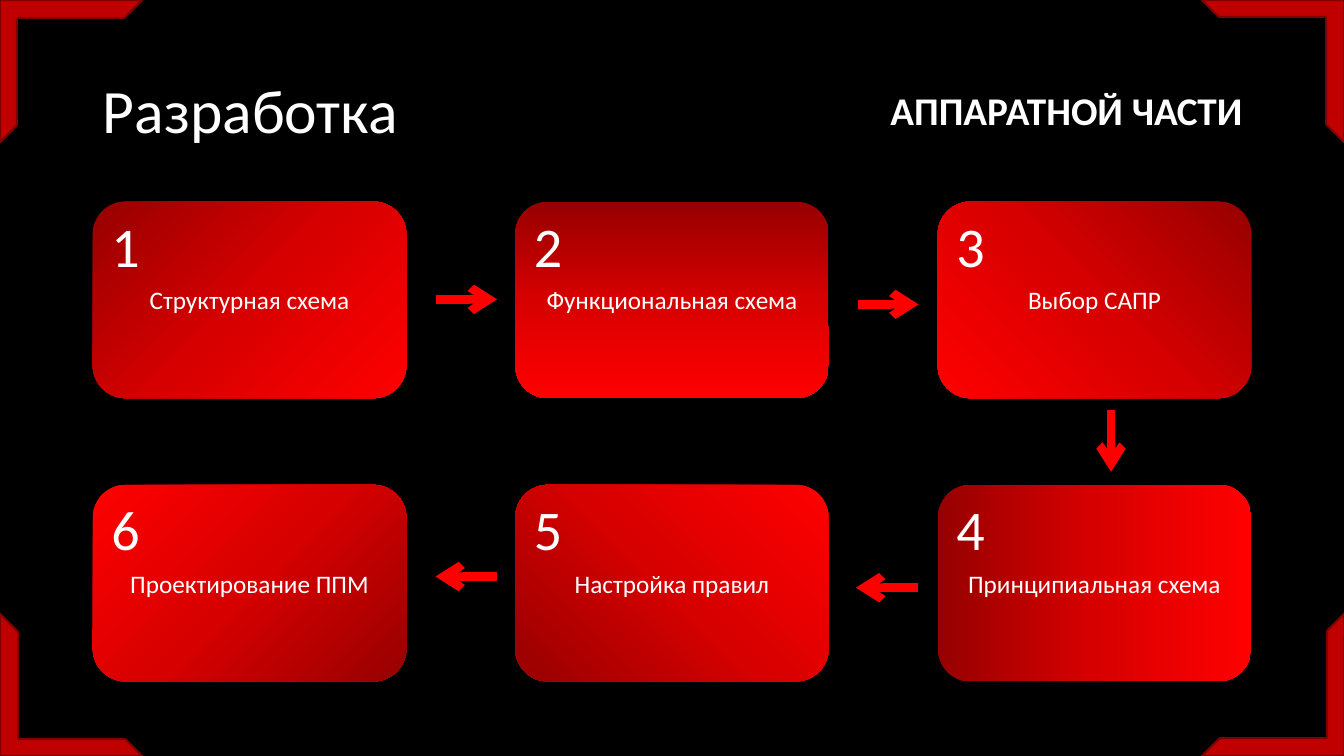
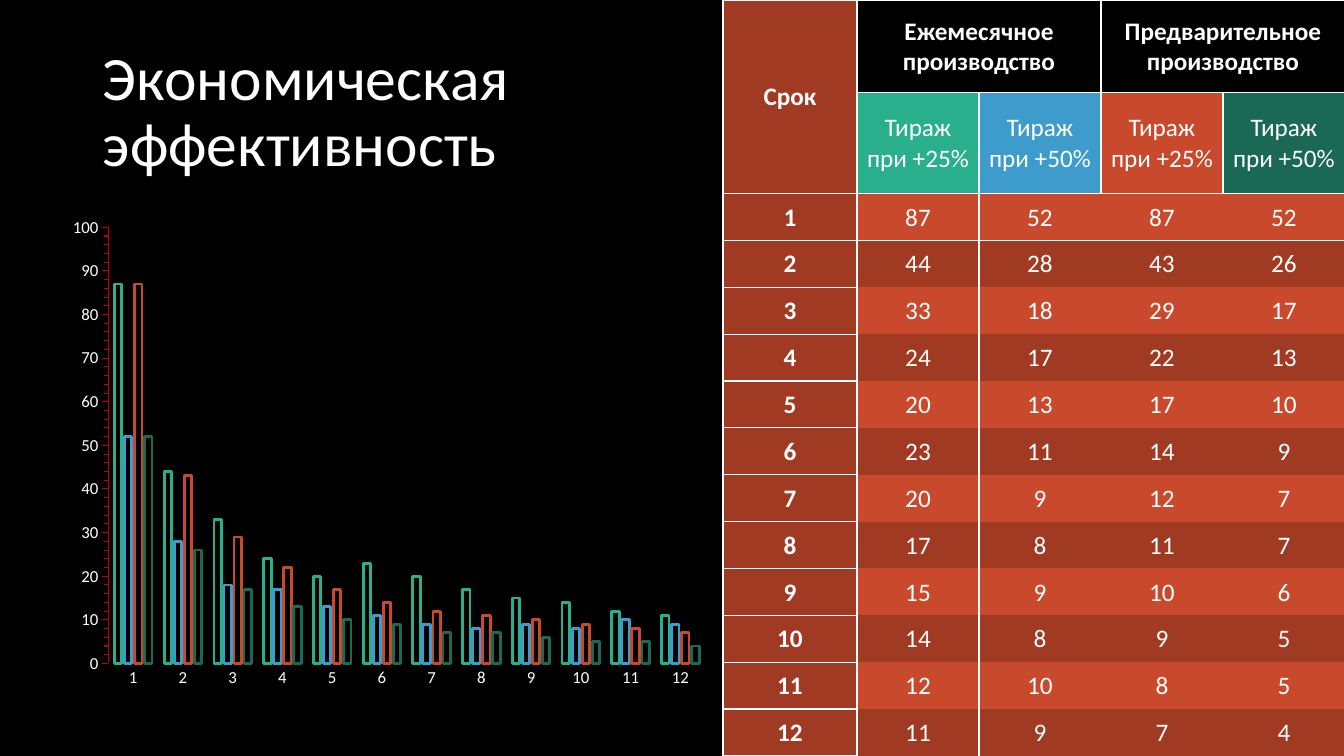
from lxml import etree
from pptx import Presentation
from pptx.chart.data import CategoryChartData
from pptx.dml.color import RGBColor
from pptx.enum.chart import XL_CHART_TYPE, XL_TICK_MARK
from pptx.enum.shapes import MSO_CONNECTOR, MSO_SHAPE
from pptx.enum.text import MSO_ANCHOR, MSO_AUTO_SIZE, PP_ALIGN
from pptx.oxml import parse_xml
from pptx.oxml.ns import nsdecls, qn
from pptx.util import Inches, Pt

LEFT, CENTER, RIGHT = PP_ALIGN.LEFT, PP_ALIGN.CENTER, PP_ALIGN.RIGHT
TOP, MIDDLE = MSO_ANCHOR.TOP, MSO_ANCHOR.MIDDLE
COLUMNS = XL_CHART_TYPE.COLUMN_CLUSTERED
TICK_NONE, TICK_OUT = XL_TICK_MARK.NONE, XL_TICK_MARK.OUTSIDE

# Shared style
FONT = "Calibri"
BLACK = RGBColor(0x00, 0x00, 0x00)
WHITE = RGBColor(0xFF, 0xFF, 0xFF)
RED = RGBColor(0xFF, 0x00, 0x00)
FRAME_RED = RGBColor(0xC0, 0x00, 0x00)
FRAME_EDGE = RGBColor(0x80, 0x00, 0x00)
ROW_LIGHT = RGBColor(0xC9, 0x49, 0x2C)
ROW_DARK = RGBColor(0xA1, 0x3A, 0x23)
SERIES_COLORS = [RGBColor(0x29, 0xAF, 0x8C), RGBColor(0x3D, 0x9C, 0xCC),
                 ROW_LIGHT, RGBColor(0x19, 0x69, 0x54)]
GRADIENT_STOPS = [(0, RGBColor(0x97, 0x00, 0x00)),
                  (50, RGBColor(0xD7, 0x00, 0x00)), (100, RED)]

# Step grid: number, label, column, row, gradient direction
STEP_LEFT, STEP_TOP = 0.92, 2.0
STEP_WIDTH, STEP_HEIGHT = 3.11, 1.95
COLUMN_PITCH, ROW_PITCH = 4.19, 2.81


def linear(degrees):
    return f'<a:lin ang="{degrees * 60000}" scaled="1"/>'


def radial(**edges):
    """Circular gradient that starts at the corner given by full edges."""
    focus = " ".join(f'{edge}="{share * 1000}"' for edge, share in edges.items())
    return f'<a:path path="circle"><a:fillToRect {focus}/></a:path>'


STEPS = [
    ("1", "Структурная схема", 0, 0, linear(45)),
    ("2", "Функциональная схема", 1, 0, linear(90)),
    ("3", "Выбор САПР", 2, 0, linear(135)),
    ("4", "Принципиальная схема", 2, 1, linear(0)),
    ("5", "Настройка правил", 1, 1, radial(t=100, r=100)),
    ("6", "Проектирование ППМ", 0, 1, radial(l=100, t=100)),
]
ARROWS = [
    (4.32, 2.97, 4.93, 2.97),
    (8.51, 3.02, 9.11, 3.02),
    (11.02, 4.07, 11.02, 4.68),
    (9.1, 5.83, 8.49, 5.83),
    (4.93, 5.72, 4.32, 5.72),
]

# Print runs by term, one list per series
PRINT_RUNS = [
    [87, 44, 33, 24, 20, 23, 20, 17, 15, 14, 12, 11],
    [52, 28, 18, 17, 13, 11, 9, 8, 9, 8, 10, 9],
    [87, 43, 29, 22, 17, 14, 12, 11, 10, 9, 8, 7],
    [52, 26, 17, 13, 10, 9, 7, 7, 6, 5, 5, 4],
]
TERMS = [str(term) for term in range(1, 13)]


def inches(*lengths):
    return [Inches(length) for length in lengths]


def write(frame, text, size=18, bold=False, align=CENTER, anchor=MIDDLE, spacing=None):
    """Fill a text frame with one formatted paragraph."""
    frame.word_wrap = True
    frame.vertical_anchor = anchor
    para = frame.paragraphs[0]
    para.text = text
    para.alignment = align
    if spacing:
        para.line_spacing = spacing
    for span in para.runs:
        font = span.font
        font.name, font.size, font.bold = FONT, Pt(size), bold
        font.color.rgb = WHITE


def add_page(deck, title):
    page = deck.slides.add_slide(deck.slide_layouts[5])
    box = page.shapes.title
    box.left, box.top, box.width, box.height = inches(0.92, 0.4, 11.5, 1.45)
    write(box.text_frame, title, size=44, align=LEFT, spacing=0.9)
    box.text_frame.auto_size = MSO_AUTO_SIZE.NONE
    return page


def add_label(page, text, left, top, width, height, grow=False, **style):
    box = page.shapes.add_textbox(*inches(left, top, width, height))
    write(box.text_frame, text, **style)
    if grow:
        box.text_frame.auto_size = MSO_AUTO_SIZE.SHAPE_TO_FIT_TEXT


def add_step(page, number, label, column, row, direction):
    left = STEP_LEFT + column * COLUMN_PITCH
    top = STEP_TOP + row * ROW_PITCH
    card = page.shapes.add_shape(MSO_SHAPE.ROUNDED_RECTANGLE,
                                 *inches(left, top, STEP_WIDTH, STEP_HEIGHT))
    card.shadow.inherit = False
    card.line.fill.background()
    stops = "".join(f'<a:gs pos="{position * 1000}"><a:srgbClr val="{color}"/></a:gs>'
                    for position, color in GRADIENT_STOPS)
    gradient = parse_xml(f'<a:gradFill {nsdecls("a")} rotWithShape="1">'
                         f'<a:gsLst>{stops}</a:gsLst>{direction}</a:gradFill>')
    card._element.spPr.find(qn("a:prstGeom")).addnext(gradient)
    write(card.text_frame, label)
    add_label(page, number, left + 0.04, top + 0.05, 0.57, 0.77,
              size=40, anchor=TOP, grow=True)


def add_arrow(page, *ends):
    arrow = page.shapes.add_connector(MSO_CONNECTOR.STRAIGHT, *inches(*ends))
    arrow.line.color.rgb = RED
    arrow.line.width = Pt(6)
    etree.SubElement(arrow.line._get_or_add_ln(), qn("a:tailEnd"), type="arrow")
    etree.SubElement(arrow._element.spPr, qn("a:effectLst"))


def add_corners(page):
    side = 1.41
    right, bottom = 13.33 - side, 7.5 - side
    for left, top, angle in [(0, 0, 0), (right, 0, 90),
                             (right, bottom, 180), (0, bottom, 270)]:
        corner = page.shapes.add_shape(MSO_SHAPE.HALF_FRAME, *inches(left, top, side, side))
        corner.rotation = angle
        corner.adjustments[0], corner.adjustments[1] = 0.126, 0.119
        corner.shadow.inherit = False
        corner.fill.solid()
        corner.fill.fore_color.rgb = FRAME_RED
        corner.line.color.rgb = FRAME_EDGE
        corner.line.width = Pt(1.5)


def format_cell(cell, text, fill, bold=False, borders="LRTB"):
    write(cell.text_frame, text, bold=bold)
    cell.vertical_anchor = MIDDLE
    cell.margin_left, cell.margin_top, cell.margin_right, cell.margin_bottom = inches(
        0.07, 0.01, 0.07, 0)
    cell.fill.solid()
    cell.fill.fore_color.rgb = fill
    properties = cell._tc.get_or_add_tcPr()
    for index, edge in enumerate(borders):
        properties.insert(index, parse_xml(
            f'<a:ln{edge} {nsdecls("a")} w="{Pt(1)}"><a:solidFill>'
            f'<a:srgbClr val="{WHITE}"/></a:solidFill></a:ln{edge}>'))


def add_run_table(page):
    heights = [0.92, 1.0] + [0.465] * len(TERMS)
    widths = [1.33] + [1.21] * len(PRINT_RUNS)
    table = page.shapes.add_table(len(heights), len(widths),
                                  *inches(7.17, 0, sum(widths), sum(heights))).table
    table.first_row = table.horz_banding = False
    # Plain style without a grid
    table._tbl.tblPr.find(qn("a:tableStyleId")).text = "{2D5ABB26-0587-4C30-8999-92F81FD0307C}"
    for row, height in zip(table.rows, heights):
        row.height = Inches(height)
    for column, width in zip(table.columns, widths):
        column.width = Inches(width)

    # Header rows
    for column, text in [(1, "Ежемесячное производство"), (3, "Предварительное производство")]:
        format_cell(table.cell(0, column), text, BLACK, bold=True)
        format_cell(table.cell(0, column + 1), "", BLACK)
        table.cell(0, column).merge(table.cell(0, column + 1))
    format_cell(table.cell(0, 0), "Срок", ROW_DARK, bold=True)
    format_cell(table.cell(1, 0), "", ROW_DARK)
    table.cell(0, 0).merge(table.cell(1, 0))
    for column, color in enumerate(SERIES_COLORS, 1):
        growth = "+25%" if column % 2 else "+50%"
        format_cell(table.cell(1, column), f"Тираж при {growth}", color)

    # Banded body
    for index, (term, values) in enumerate(zip(TERMS, zip(*PRINT_RUNS))):
        format_cell(table.cell(index + 2, 0), term, ROW_DARK, bold=True)
        band = ROW_DARK if index % 2 else ROW_LIGHT
        for column, value in enumerate(values, 1):
            borders = ("L" if column == 1 else "") + ("T" if index == 0 else "")
            format_cell(table.cell(index + 2, column), str(value), band, borders=borders)


def set_plot_area(chart, **place):
    """Fix the inner plot area as shares of the chart."""
    fields = "".join(f'<c:{name} val="{value}"/>' for name, value in place.items())
    layout = parse_xml(f'<c:layout {nsdecls("c")}><c:manualLayout><c:layoutTarget val="inner"/>'
                       f'<c:xMode val="edge"/><c:yMode val="edge"/>{fields}'
                       '</c:manualLayout></c:layout>')
    area = chart._chartSpace.chart.plotArea
    for old in area.findall(qn("c:layout")):
        area.remove(old)
    area.insert(0, layout)


def add_run_chart(page):
    data = CategoryChartData(number_format="0")
    data.categories = TERMS
    for number, values in enumerate(PRINT_RUNS, 1):
        data.add_series(f"Series {number}", values)
    chart = page.shapes.add_chart(COLUMNS, *inches(0.45, 1.94, 6.72, 5.17), data).chart
    chart.has_legend = chart.has_title = False
    chart.font.name, chart.font.size = FONT, Pt(12)
    chart.font.color.rgb = WHITE
    set_plot_area(chart, x=0.093, y=0.061, w=0.881, h=0.837)

    plot = chart.plots[0]
    plot.vary_by_categories = False
    plot.gap_width, plot.overlap = 164, -35
    for series, color in zip(plot.series, SERIES_COLORS):
        series.format.fill.background()
        series.format.line.color.rgb = color
        series.format.line.width = Pt(2)

    terms = chart.category_axis
    terms.major_tick_mark = terms.minor_tick_mark = TICK_NONE
    terms.format.line.fill.background()
    runs = chart.value_axis
    runs.has_major_gridlines = False
    runs.minimum_scale, runs.maximum_scale = 0, 100
    runs.major_unit, runs.minor_unit = 10, 2
    runs.major_tick_mark = runs.minor_tick_mark = TICK_OUT
    runs.tick_labels.number_format = "0"
    runs.tick_labels.number_format_is_linked = False
    runs.format.line.color.rgb = FRAME_RED
    runs.format.line.width = Pt(0.75)


def main():
    deck = Presentation()
    deck.slide_width, deck.slide_height = inches(13.33, 7.5)
    background = deck.slide_master.background.fill
    background.solid()
    background.fore_color.rgb = BLACK

    # Hardware development steps
    page = add_page(deck, "Разработка")
    add_label(page, "АППАРАТНОЙ ЧАСТИ", 6.67, 0.39, 5.75, 1.45,
              size=28, bold=True, align=RIGHT, spacing=0.9)
    for step in STEPS:
        add_step(page, *step)
    for ends in ARROWS:
        add_arrow(page, *ends)
    add_corners(page)

    # Economic efficiency
    page = add_page(deck, "Экономическая\vэффективность")
    add_run_table(page)
    add_run_chart(page)

    deck.save("out.pptx")


if __name__ == "__main__":
    main()
